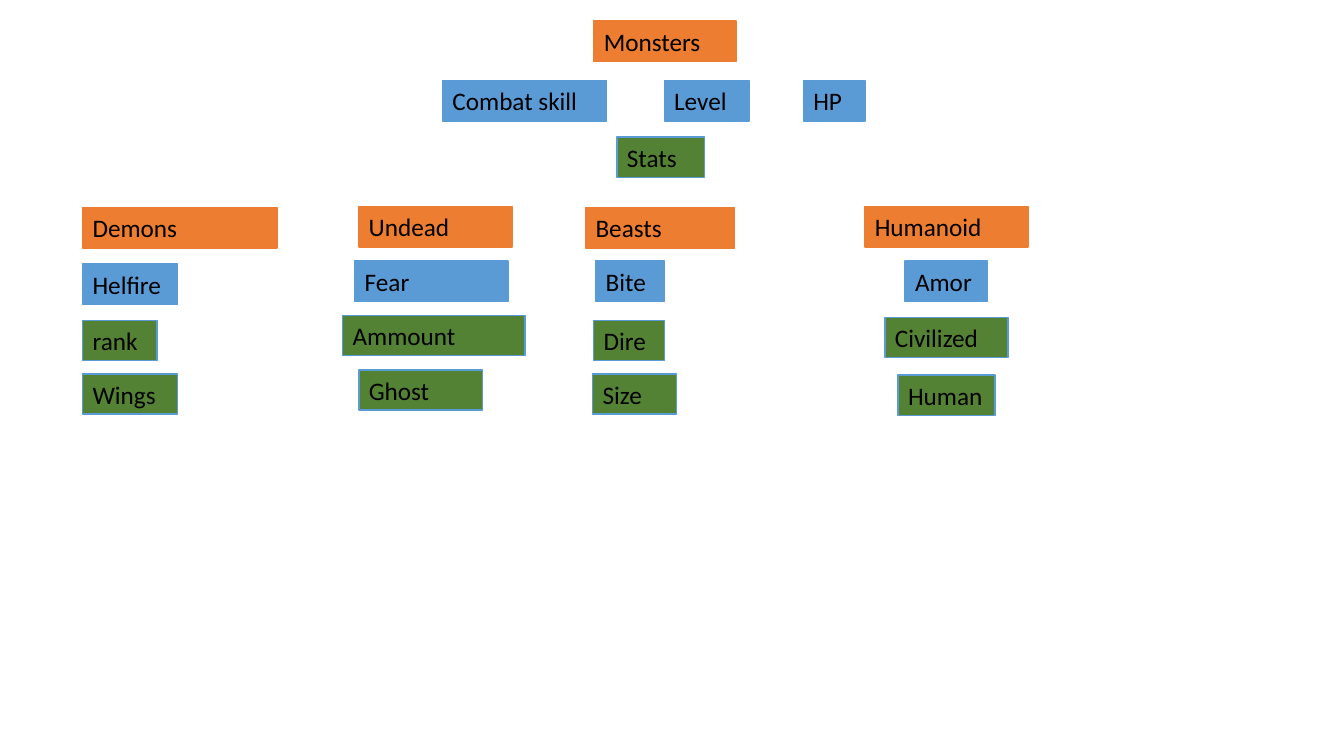
from pptx import Presentation
from pptx import util as u
from pptx.dml.color import RGBColor
from pptx.enum import shapes, text

ORANGE = RGBColor(0xED, 0x7D, 0x31)
BLUE = RGBColor(0x5B, 0x9B, 0xD5)
GREEN = RGBColor(0x54, 0x82, 0x35)
BLACK = RGBColor(0, 0, 0)
CLASS, ATTRIBUTE, OPTION = (ORANGE, ORANGE), (BLUE, BLUE), (GREEN, BLUE)

presentation = Presentation()
presentation.slide_width = u.Inches(13.33)
presentation.slide_height = u.Inches(7.5)
COLUMN = presentation.slide_width / 40
ROW = presentation.slide_height / 30
BOX_ROWS = 1.6
slide = presentation.slides.add_slide(presentation.slide_layouts[5])


def style_box(shape, label, colours, left, top, width):
    shape.left, shape.width = int(left * COLUMN), int(width * COLUMN)
    shape.top, shape.height = int(top * ROW), int(BOX_ROWS * ROW)
    fill, line = colours
    shape.fill.solid()
    shape.fill.fore_color.rgb = fill
    shape.line.color.rgb = line
    shape.line.width = u.Pt(1)
    frame = shape.text_frame
    frame.text = label
    frame.word_wrap = True
    frame.auto_size = text.MSO_AUTO_SIZE.NONE
    frame.vertical_anchor = text.MSO_ANCHOR.MIDDLE
    paragraph = frame.paragraphs[0]
    paragraph.alignment = text.PP_ALIGN.LEFT
    font = paragraph.runs[0].font
    font.name, font.size, font.color.rgb = "Calibri", u.Pt(18), BLACK


def add_box(label, colours, left, top, width):
    shape = slide.shapes.add_shape(shapes.MSO_SHAPE.RECTANGLE, 0, 0, 0, 0)
    shape.shadow.inherit = False
    style_box(shape, label, colours, left, top, width)


style_box(slide.shapes.title, "Monsters", CLASS, 17.67, 0.84, 4.23)

for label, left, width in [("Combat skill", 13.17, 4.89), ("Level", 19.77, 2.52), ("HP", 23.91, 1.83)]:
    add_box(label, ATTRIBUTE, left, 3.2, width)
add_box("Stats", OPTION, 18.36, 5.44, 2.61)

LEVELS = [CLASS, ATTRIBUTE, OPTION, OPTION]
DEMON_LEFT = 2.46
HUMANOID_CENTRE = 28.17
UNDEAD_TOPS = [8.2 + 2.16 * level for level in range(4)]

demons = [("Demons", 8.24, 5.79), ("Helfire", 10.48, 2.82), ("rank", 12.72, 2.22), ("Wings", 14.84, 2.82)]
undead = [("Undead", 10.68, 4.56), ("Fear", 10.56, 4.56), ("Ammount", 10.2, 5.43), ("Ghost", 10.68, 3.69)]
beasts = [("Beasts", 17.43, 8.24, 4.44), ("Bite", 17.73, 10.36, 2.04),
          ("Dire", 17.67, 12.72, 2.1), ("Size", 17.64, 14.84, 2.49)]
humanoids = [("Humanoid", 8.2, 4.86), ("Amor", 10.36, 2.46), ("Civilized", 12.6, 3.66), ("Human", 14.88, 2.88)]

families = [
    [(label, DEMON_LEFT, top, width) for label, top, width in demons],
    [(label, left, top, width) for (label, left, width), top in zip(undead, UNDEAD_TOPS)],
    beasts,
    [(label, HUMANOID_CENTRE - width / 2, top, width) for label, top, width in humanoids],
]
for family in families:
    for colours, (label, left, top, width) in zip(LEVELS, family):
        add_box(label, colours, left, top, width)

presentation.save("out.pptx")
